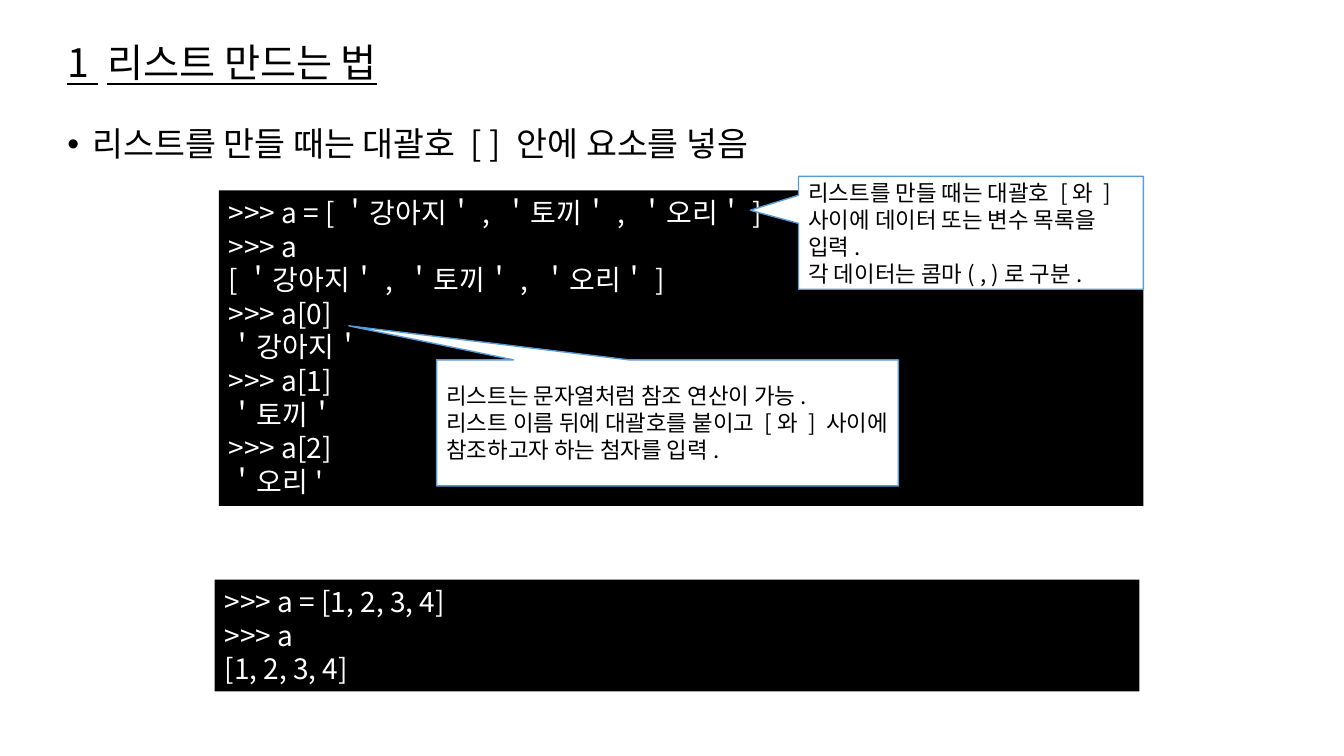
"""Build a slide on how to make a list."""
from dataclasses import dataclass

from lxml import etree
from pptx import Presentation
from pptx.dml.color import RGBColor
from pptx.enum.shapes import MSO_SHAPE
from pptx.enum.text import MSO_ANCHOR, MSO_AUTO_SIZE, PP_ALIGN
from pptx.oxml.ns import qn
from pptx.util import Inches, Pt

RECT = MSO_SHAPE.RECTANGLE
CALLOUT = MSO_SHAPE.RECTANGULAR_CALLOUT
TOP, MIDDLE = MSO_ANCHOR.TOP, MSO_ANCHOR.MIDDLE
LEFT, JUSTIFY = PP_ALIGN.LEFT, PP_ALIGN.JUSTIFY
GROW = MSO_AUTO_SIZE.SHAPE_TO_FIT_TEXT


@dataclass(frozen=True)
class Theme:
    font: str = "Noto Sans CJK KR"
    black: RGBColor = RGBColor(0, 0, 0)
    white: RGBColor = RGBColor(255, 255, 255)
    blue: RGBColor = RGBColor(0x5B, 0x9B, 0xD5)
    title: int = 28
    body: int = 24
    code: int = 20
    note: int = 16


@dataclass(frozen=True)
class Box:
    left: float
    top: float
    width: float
    height: float
    lines: tuple[str, ...]
    tip: tuple[float, float] = (0, 0)

    def frame(self) -> tuple[int, ...]:
        return tuple(map(Inches, (self.left, self.top, self.width, self.height)))


THEME = Theme()
NAMES = "[＇강아지＇, ＇토끼＇, ＇오리＇]"
TITLE = Box(0.57, 0.24, 11.5, 0.81, ("1 리스트 만드는 법",))
BODY = Box(0.57, 1.22, 12.5, 6.15, ("리스트를 만들 때는 대괄호 [ ] 안에 요소를 넣음",))
CODES = (
    Box(2.17, 1.89, 9.17, 3.13, (
        f">>> a = {NAMES}", ">>> a", NAMES,
        ">>> a[0]", "＇강아지＇", ">>> a[1]", "＇토끼＇", ">>> a[2]", "＇오리'")),
    Box(2.13, 5.75, 9.17, 1.11, (">>> a = [1, 2, 3, 4]", ">>> a", "[1, 2, 3, 4]")),
)
NOTES = (
    Box(7.92, 1.75, 3.42, 1.12, (
        "리스트를 만들 때는 대괄호 [와 ] 사이에 데이터 또는 변수 목록을 입력.",
        "각 데이터는 콤마( , )로 구분."), (-0.64, -0.2)),
    Box(4.33, 3.57, 4.58, 1.25, (
        "리스트는 문자열처럼 참조 연산이 가능.",
        "리스트 이름 뒤에 대괄호를 붙이고 [와 ] 사이에 참조하고자 하는 첨자를 입력."),
        (-0.69, -0.77)),
)


def write(shape, lines: tuple[str, ...], size: int, color: RGBColor,
          anchor=TOP, align=LEFT) -> None:
    """Fill a shape with one paragraph per line."""
    frame = shape.text_frame
    frame.word_wrap = True
    frame.vertical_anchor = anchor
    for index, line in enumerate(lines):
        para = frame.add_paragraph() if index else frame.paragraphs[0]
        para.alignment = align
        run = para.add_run()
        run.text = line
        run.font.size = Pt(size)
        run.font.color.rgb = color
        run.font.name = THEME.font
        props = run.font._element
        etree.SubElement(props, qn("a:ea")).set("typeface", THEME.font)


def draw_title(slide) -> None:
    """Draw the underlined heading."""
    shape = slide.shapes.add_textbox(*TITLE.frame())
    write(shape, TITLE.lines, THEME.title, THEME.black, MIDDLE)
    para = shape.text_frame.paragraphs[0]
    para.line_spacing = 0.9
    para.runs[0].font.underline = True


def draw_body(slide) -> None:
    """Draw the bullet line."""
    shape = slide.shapes.add_textbox(*BODY.frame())
    write(shape, BODY.lines, THEME.body, THEME.black)
    para = shape.text_frame.paragraphs[0]
    para.line_spacing = 0.9
    para.space_before = Pt(10)
    props = para._p.get_or_add_pPr()
    props.set("marL", str(Inches(0.25)))
    props.set("indent", str(Inches(-0.25)))
    etree.SubElement(props, qn("a:buFont")).set("typeface", "Arial")
    etree.SubElement(props, qn("a:buChar")).set("char", "•")


def add_block(slide, kind, box: Box, fill: RGBColor):
    """Add a filled shape without a shadow."""
    shape = slide.shapes.add_shape(kind, *box.frame())
    shape.shadow.inherit = False
    shape.fill.solid()
    shape.fill.fore_color.rgb = fill
    return shape


def draw_code(slide, box: Box) -> None:
    """Draw a black code panel."""
    shape = add_block(slide, RECT, box, THEME.black)
    shape.line.fill.background()
    write(shape, box.lines, THEME.code, THEME.white, align=JUSTIFY)
    shape.text_frame.auto_size = GROW


def draw_note(slide, box: Box) -> None:
    """Draw a callout whose tip points at the code."""
    shape = add_block(slide, CALLOUT, box, THEME.white)
    shape.line.color.rgb = THEME.blue
    shape.line.width = Pt(1)
    shape.adjustments[0], shape.adjustments[1] = box.tip
    write(shape, box.lines, THEME.note, THEME.black, MIDDLE)


def main() -> None:
    """Build and save the deck."""
    deck = Presentation()
    deck.slide_width, deck.slide_height = Inches(13.33), Inches(7.5)
    slide = deck.slides.add_slide(deck.slide_layouts[6])
    draw_title(slide)
    draw_body(slide)
    for box in CODES:
        draw_code(slide, box)
    for box in NOTES:
        draw_note(slide, box)
    deck.save("out.pptx")


if __name__ == "__main__":
    main()
